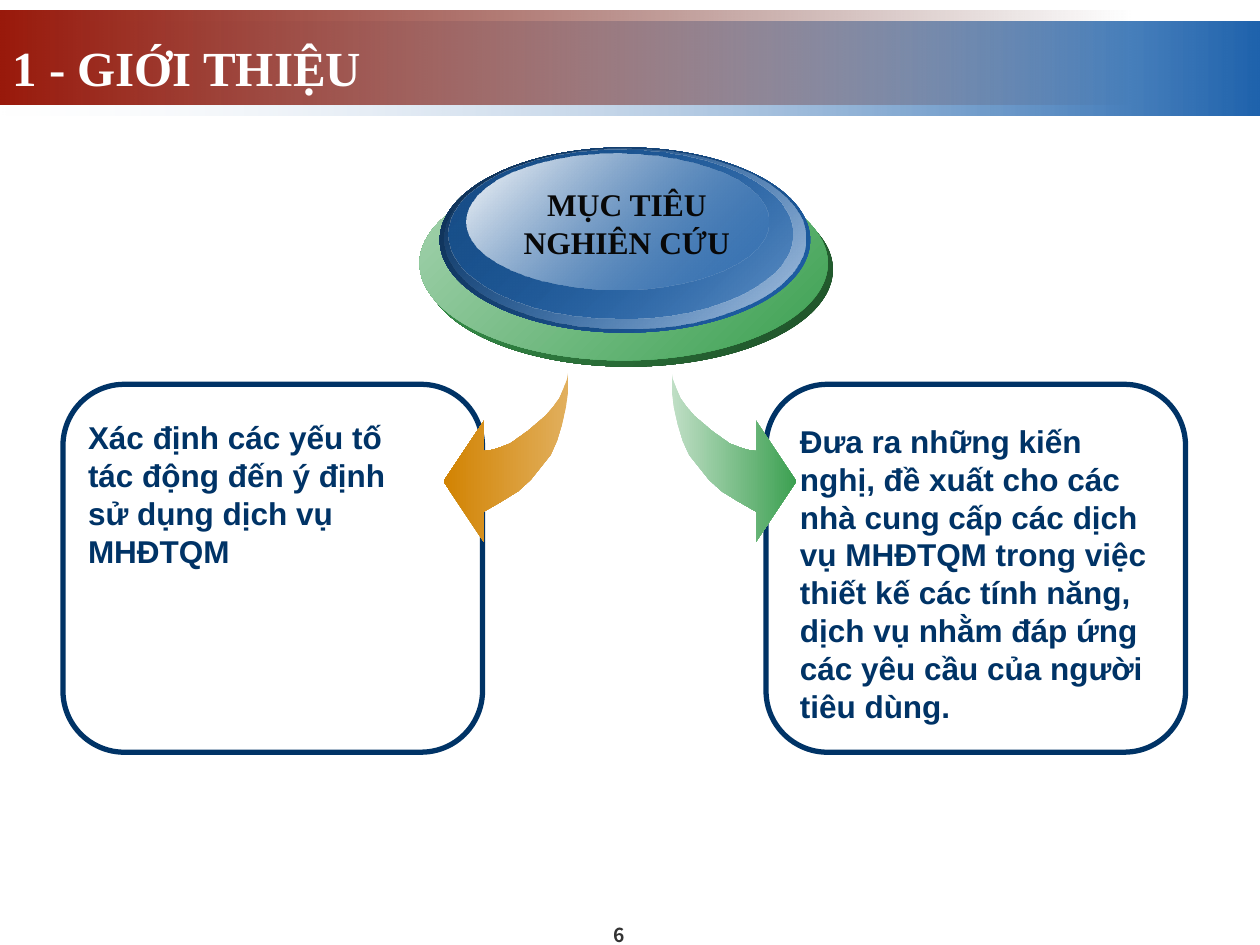
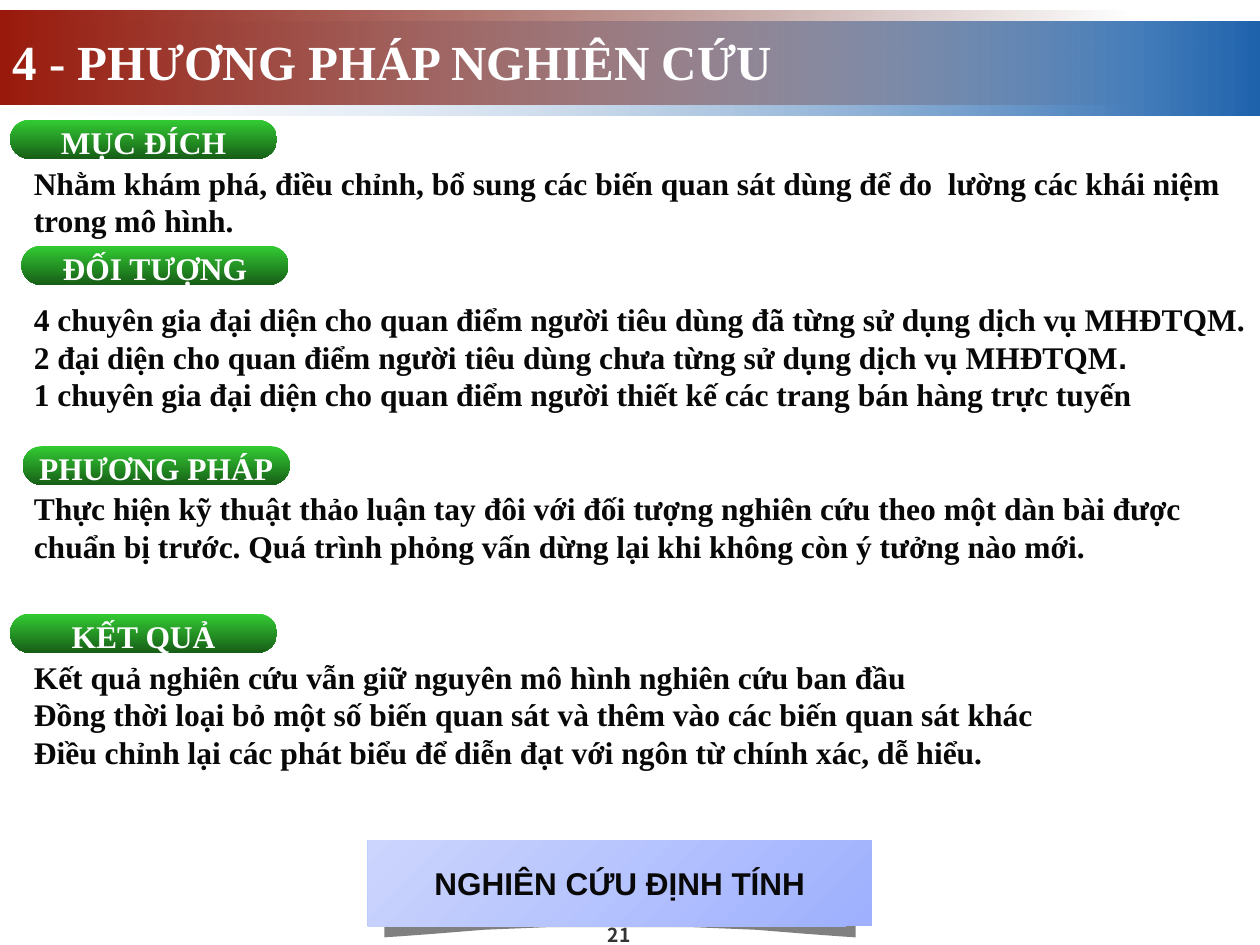
"""Builds two research slides with a shared banner, title style and page number."""
import pptx
import pptx.util
import pptx.dml.color
import pptx.enum.shapes
import pptx.enum.text
import pptx.oxml.ns
import lxml.etree

Inches = pptx.util.Inches
Kind = pptx.enum.shapes.MSO_SHAPE
Align = pptx.enum.text.PP_ALIGN
Anchor = pptx.enum.text.MSO_ANCHOR
Fit = pptx.enum.text.MSO_AUTO_SIZE

SERIF, SANS, PAGE = "Times New Roman", "Arial", "Noto Sans CJK KR"
WHITE, INK, NAVY, GRAY = "FFFFFF", "080808", "003366", "333333"
BLUE, GREEN = "1F63AD", "3CA051"
MIDDLE = 492


def color(code):
    return pptx.dml.color.RGBColor.from_string(code)


def mirror(points):
    return [(2 * MIDDLE - x, y) for x, y in points]


class Deck:
    def __init__(self):
        self.show = pptx.Presentation()
        self.show.slide_width = Inches(10)
        self.show.slide_height = Inches(7.5)
        self.slide = None

    def start(self, title, top, page):
        self.slide = self.show.slides.add_slide(self.show.slide_layouts[5])
        self.shape(Kind.RECTANGLE, (0, 0.17, 10, 0.75), [(BLUE, 100), ("E2EAF3", 0)], 180)
        self.shape(Kind.RECTANGLE, (0, 0.08, 9, 0.75), [("460B05", 0), ("99190B", 100)], 180)
        head = self.slide.shapes.title
        self.slide.shapes._spTree.append(head._element)
        head.left, head.top, head.width, head.height = map(Inches, (0, top, 10, 0.57))
        self.label(head, [title], SERIF, WHITE, size=28)
        self.text((4.33, 7.34, 1.17, 0.16), [str(page)], PAGE, GRAY, 11,
                  Align.CENTER, Anchor.MIDDLE, (0, 0))

    def style(self, run, font, ink, size=18):
        run.font.name, run.font.size = font, pptx.util.Pt(size)
        run.font.bold, run.font.color.rgb = True, color(ink)

    def label(self, shape, lines, font, ink, size=18, align=Align.LEFT,
              anchor=Anchor.TOP, inset=(0.1, 0.05)):
        frame = shape.text_frame
        frame.text = "\n".join(lines)
        frame.word_wrap, frame.auto_size = True, Fit.NONE
        frame.vertical_anchor = anchor
        frame.margin_left = frame.margin_right = Inches(inset[0])
        frame.margin_top = frame.margin_bottom = Inches(inset[1])
        for para in frame.paragraphs:
            para.alignment = align
            para.space_before = pptx.util.Pt(0)
            for run in para.runs:
                self.style(run, font, ink, size)

    def text(self, place, lines, *look):
        box = self.slide.shapes.add_textbox(*map(Inches, place))
        self.label(box, lines, *look)
        return box

    def paint(self, shape, stops, angle=0):
        shape.shadow.inherit = False
        shape.line.fill.background()
        if not stops:
            shape.fill.background()
        elif len(stops) == 1:
            shape.fill.solid()
            shape.fill.fore_color.rgb = color(stops[0][0])
        else:
            shape.fill.gradient()
            shape.fill.gradient_angle = (360 - angle) % 360
            for stop, (code, _) in zip(shape.fill.gradient_stops, stops):
                stop.color.rgb = color(code)
            tag = pptx.oxml.ns.qn("a:srgbClr")
            for node, (_, alpha) in zip(shape._element.iter(tag), stops):
                if alpha < 100:
                    mark = lxml.etree.SubElement(node, pptx.oxml.ns.qn("a:alpha"))
                    mark.set("val", str(alpha * 1000))

    def shape(self, kind, place, stops=(), angle=0):
        item = self.slide.shapes.add_shape(kind, *map(Inches, place))
        self.paint(item, stops, angle)
        return item

    def outline(self, points, stops, angle=0):
        maker = self.slide.shapes.build_freeform(*points[0], scale=Inches(0.01))
        maker.add_line_segments(points[1:], close=True)
        self.paint(maker.convert_to_shape(), stops, angle)

    def frame(self, left):
        box = self.shape(Kind.ROUNDED_RECTANGLE, (left, 3.05, 3.33, 2.92))
        box.line.color.rgb = color(NAVY)
        box.line.width = pptx.util.Pt(3)

    def pill(self, left, top, name):
        item = self.shape(Kind.ROUNDED_RECTANGLE, (left, top, 2.12, 0.31),
                          [("33CC33", 100), ("175E17", 100)], 90)
        item.adjustments[0] = 0.5
        self.label(item, [name], SERIF, WHITE, 18, Align.CENTER, Anchor.MIDDLE, (0, 0))
        item.text_frame.margin_top = Inches(0.04)


def goals(deck):
    deck.start("1 - GIỚI THIỆU", 0.25, 6)
    for left in (6.08, 0.5):
        deck.frame(left)
    deck.text((0.6, 3.27, 2.81, 1.3),
              ["Xác định các yếu tố tác động đến ý định sử dụng dịch vụ MHĐTQM"], SANS, NAVY)
    arrow = [(451, 295), (451, 310), (449, 324), (446, 337), (442, 350), (437, 361),
             (429, 371), (421, 381), (411, 390), (398, 398), (384, 406), (384, 430),
             (352, 382), (384, 334), (384, 358), (391, 357), (397, 355), (405, 352),
             (412, 347), (419, 342), (426, 336), (433, 330), (439, 323), (444, 316),
             (447, 309), (450, 301)]
    deck.outline(arrow, [("E1AF5D", 100), ("D28302", 100)], 180)
    deck.outline(mirror(arrow), [("C0DFC6", 100), (GREEN, 100)], 0)
    rings = [
        ((3.37, 1.37, 3.24, 1.54), ("1D4D27", 100), (GREEN, 100)),
        ((3.33, 1.32, 3.24, 1.54), (GREEN, 100), ("A7D4B1", 100)),
        ((3.49, 1.17, 2.94, 1.47), (BLUE, 100), ("0E2D4F", 100)),
        ((3.53, 1.18, 2.86, 1.43), ("B0C7E1", 100), (BLUE, 0)),
        ((3.56, 1.19, 2.73, 1.34), (BLUE, 48), ("184E88", 100)),
        ((3.7, 1.22, 2.4, 1.08), (BLUE, 38), ("FEFEFE", 100)),
    ]
    for place, *stops in rings:
        deck.shape(Kind.OVAL, place, stops, 225)
    deck.text((4, 1.42, 1.95, 0.7), ["MỤC TIÊU NGHIÊN CỨU"], SERIF, INK, 18, Align.CENTER)
    deck.text((6.25, 3.3, 3.08, 2.5),
              ["Đưa ra những kiến nghị, đề xuất cho các nhà cung cấp các dịch vụ MHĐTQM "
               "trong việc thiết kế các tính năng, dịch vụ nhằm đáp ứng các yêu cầu của "
               "người tiêu dùng."], SANS, NAVY)


def method(deck):
    deck.start("4 - PHƯƠNG PHÁP NGHIÊN CỨU", 0.2, 21)
    half = [(305, 720), (305, 744), (320, 743), (347, 741), (384, 738), (433, 736)]
    deck.outline(half + mirror(half)[::-1] + [(MIDDLE, 711)], [("808080", 100)])
    banner = deck.shape(Kind.RECTANGLE, (2.92, 6.67, 4, 0.68),
                        [("9EB0FE", 100), ("CCD5FD", 100)], 225)
    deck.label(banner, ["NGHIÊN CỨU ĐỊNH TÍNH"], SANS, INK, 18, Align.CENTER, Anchor.MIDDLE)
    parts = [
        (0.08, 0.95, "MỤC ĐÍCH", 1.25, 9.83,
         ["Nhằm khám phá, điều chỉnh, bổ sung các biến quan sát dùng để đo  lường "
          "các khái niệm trong mô hình."]),
        (0.17, 1.95, "ĐỐI TƯỢNG", 2.33, 9.83,
         ["4 chuyên gia đại diện cho quan điểm người tiêu dùng đã từng sử dụng dịch vụ MHĐTQM.",
          "2 đại diện cho quan điểm người tiêu dùng chưa từng sử dụng dịch vụ MHĐTQM",
          "1 chuyên gia đại diện cho quan điểm người thiết kế các trang bán hàng trực tuyến"]),
        (0.18, 3.54, "PHƯƠNG PHÁP", 3.83, 9.4,
         ["Thực hiện kỹ thuật thảo luận tay đôi với đối tượng nghiên cứu theo một dàn bài "
          "được chuẩn bị trước. Quá trình phỏng vấn dừng lại khi không còn ý tưởng nào mới."]),
        (0.08, 4.87, "KẾT QUẢ", 5.17, 9.31,
         ["Kết quả nghiên cứu vẫn giữ nguyên mô hình nghiên cứu ban đầu",
          "Đồng thời loại bỏ một số biến quan sát và thêm vào các biến quan sát khác",
          "Điều chỉnh lại các phát biểu để diễn đạt với ngôn từ chính xác, dễ hiểu."]),
    ]
    boxes = {}
    for left, top, name, below, width, lines in parts:
        deck.pill(left, top, name)
        height = 1 if len(lines) == 3 else 0.7
        boxes[name] = deck.text((0.17, below, width, height), lines, SERIF, INK)
    stop = boxes["ĐỐI TƯỢNG"].text_frame.paragraphs[1].add_run()
    stop.text = "."
    deck.style(stop, SANS, INK)


def main():
    deck = Deck()
    goals(deck)
    method(deck)
    deck.show.save("out.pptx")


if __name__ == "__main__":
    main()
